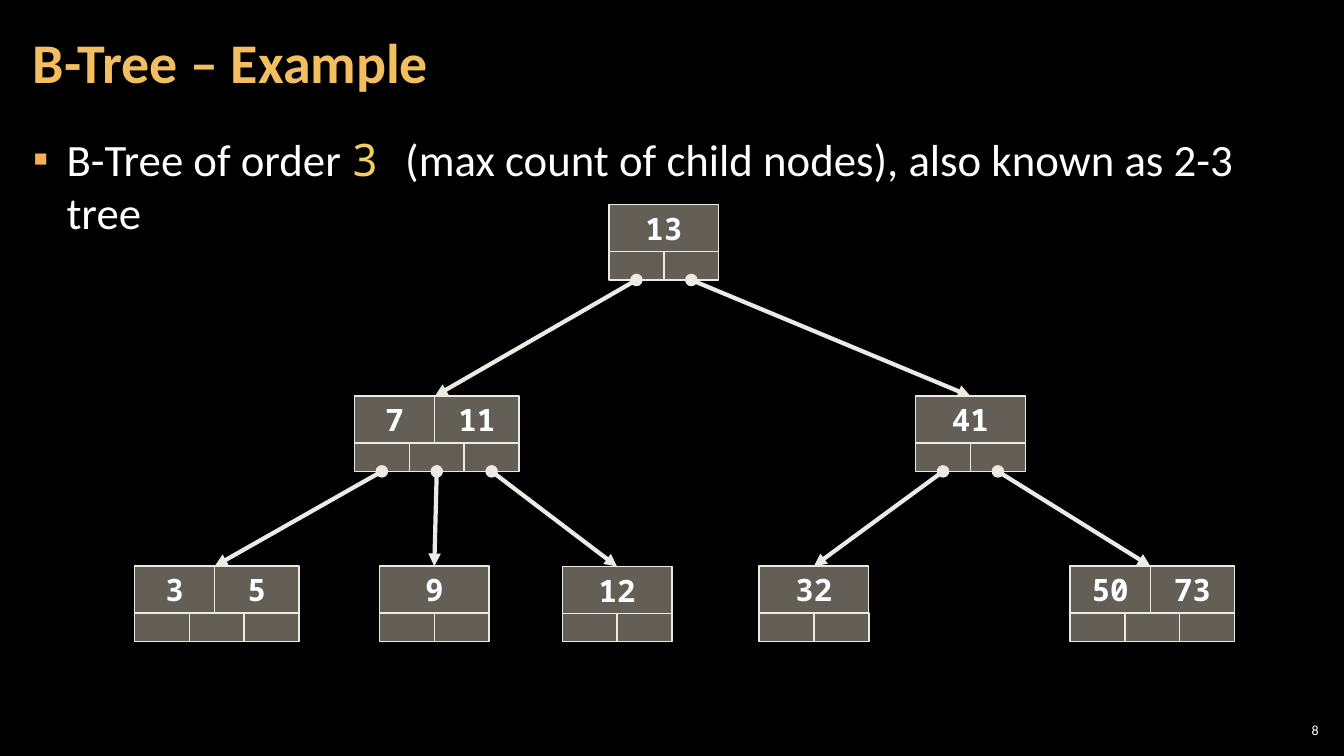
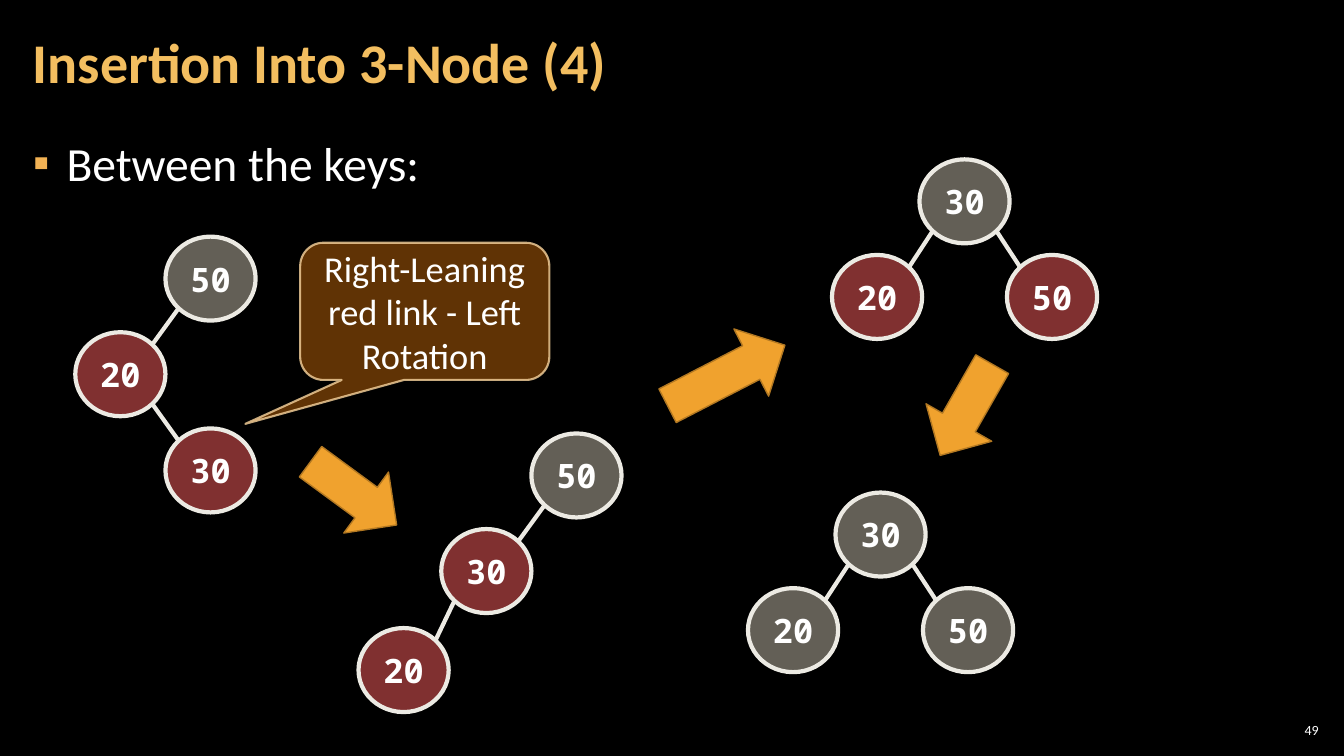
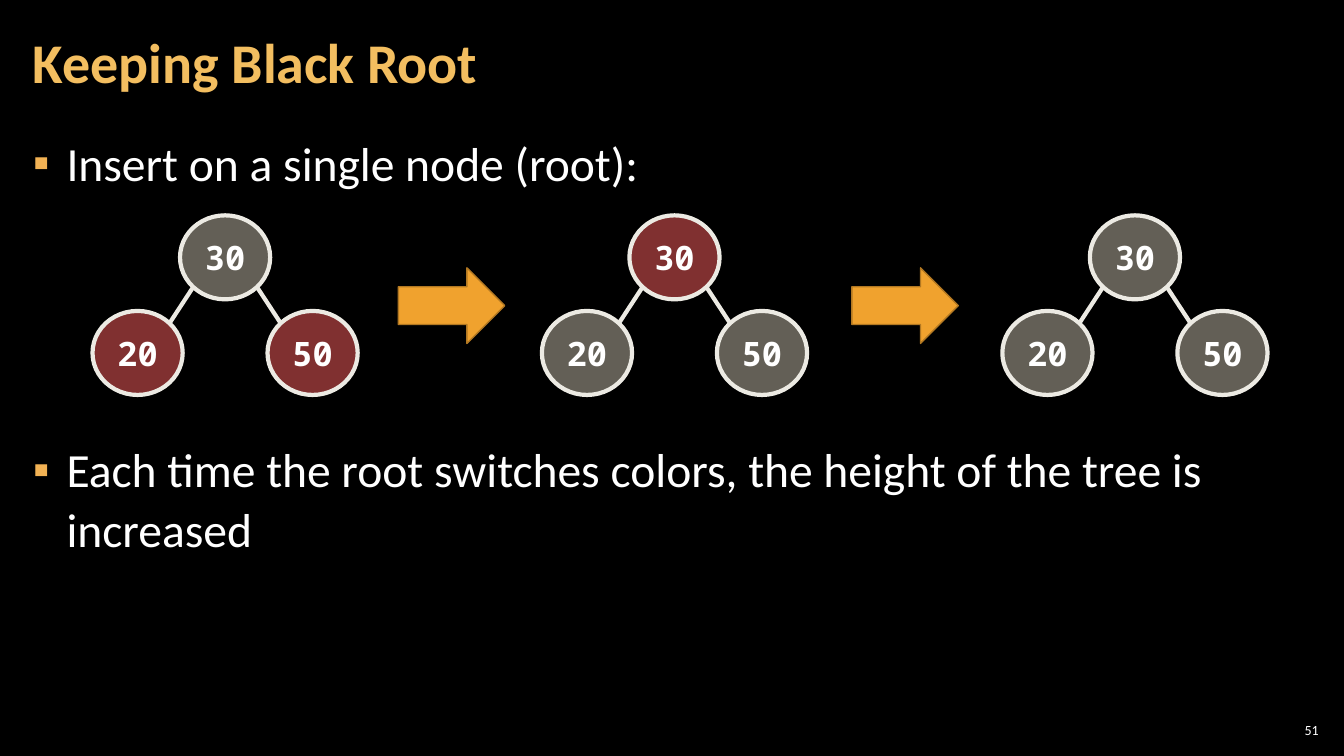
from pptx import Presentation
from pptx.dml.color import RGBColor
from pptx.enum.shapes import MSO_CONNECTOR, MSO_SHAPE
from pptx.enum.text import MSO_ANCHOR, MSO_AUTO_SIZE, PP_ALIGN
from pptx.oxml.ns import qn
from pptx.util import Pt
from lxml import etree

RECT, OVAL = MSO_SHAPE.RECTANGLE, MSO_SHAPE.OVAL
ARROW, BUBBLE = MSO_SHAPE.RIGHT_ARROW, MSO_SHAPE.ROUNDED_RECTANGULAR_CALLOUT
LINE = MSO_CONNECTOR.STRAIGHT
MIDDLE, TOP = MSO_ANCHOR.MIDDLE, MSO_ANCHOR.TOP
LEFT, RIGHT, CENTER = PP_ALIGN.LEFT, PP_ALIGN.RIGHT, PP_ALIGN.CENTER
NO_FIT = MSO_AUTO_SIZE.NONE

SANS, MONO = "Calibri", "Noto Sans Mono"
BLACK, WHITE, PALE = "000000", "FFFFFF", "ECEAE3"
GOLD, YELLOW, BULLET = "F3BE60", "F3CD60", "F2B254"
GRAY, RED = "C7BFAC", "FF6161"
TONES = {"g": GRAY, "r": RED}


def paint(fill, color, alpha=100):
    fill.solid()
    fill.fore_color.rgb = RGBColor.from_string(color)
    if alpha < 100:
        tint = fill._xPr.find(".//" + qn("a:srgbClr"))
        etree.SubElement(tint, qn("a:alpha"), val=str(alpha * 1000))


def write(para, text, size, color=WHITE, font=SANS, bold=False, align=LEFT):
    para.alignment = align
    run = para.add_run()
    run.text = text
    run.font.size = Pt(size)
    run.font.name = font
    run.font.bold = bold
    paint(run.font.fill, color)


deck = Presentation()
deck.slide_width, deck.slide_height = Pt(960), Pt(540)
paint(deck.slide_master.background.fill, BLACK)

pages = [
    ("B-Tree – Example", "8", 32, 1, [
        (6, [("B-Tree of order ", WHITE, SANS), ("3 ", YELLOW, MONO),
             ("(max count of child nodes), also known as 2-3 tree", WHITE, SANS)])]),
    ("Insertion Into 3-Node (4)", "49", 34, 1.05, [
        (6, [("Between the keys:", WHITE, SANS)])]),
    ("Keeping Black Root", "51", 34, 1.05, [
        (6, [("Insert on a single node (root):", WHITE, SANS)]),
        (170, [("Each time the root switches colors, the height of the tree is increased",
                WHITE, SANS)])]),
]

for title, number, size, pitch, items in pages:
    slide = deck.slides.add_slide(deck.slide_layouts[1])
    head, body = slide.placeholders
    note = slide.shapes.add_textbox(0, 0, 0, 0)
    for box, x, y, w, h, side, anchor in [
            (head, 15, 3, 754, 87, 8.5, MIDDLE),
            (body, 15, 90.7, 930, 438.5, 8.5, TOP),
            (note, 911, 514, 34, 15, 3, MIDDLE)]:
        box.left, box.top, box.width, box.height = Pt(x), Pt(y), Pt(w), Pt(h)
        frame = box.text_frame
        frame.word_wrap = True
        frame.auto_size = NO_FIT
        frame.vertical_anchor = anchor
        frame.margin_left = frame.margin_right = Pt(side)
        frame.margin_top = frame.margin_bottom = Pt(3)
    para = head.text_frame.paragraphs[0]
    para.line_spacing = 0.9
    write(para, title, 40, color=GOLD, bold=True)
    write(note.text_frame.paragraphs[0], number, 10, align=RIGHT)
    for index, (before, runs) in enumerate(items):
        frame = body.text_frame
        para = frame.add_paragraph() if index else frame.paragraphs[0]
        para.line_spacing = pitch
        para.space_before, para.space_after = Pt(before), Pt(6)
        for text, color, font in runs:
            write(para, text, size, color=color, font=font)
        props = para._p.get_or_add_pPr()
        props.set("marL", str(Pt(24)))
        props.set("indent", str(-Pt(24)))
        mark = etree.SubElement(props, qn("a:buClr"))
        etree.SubElement(mark, qn("a:srgbClr"), val=BULLET)
        etree.SubElement(props, qn("a:buChar"), char="▪")

drawn = []
wires = []

KEY_H, SLOT_W, SLOT_H, SEAM = 33.5, 39.2, 20.2, 57.4
nodes = [
    (["13"], 435, 146.3, None, None),
    (["7", "11"], 253.2, 283, 0, 0),
    (["41"], 654, 283, 0, 1),
    (["3", "5"], 96, 404.4, 1, 0),
    (["9"], 271, 404.4, 1, 1),
    (["12"], 401.6, 404.7, 1, 2),
    (["32"], 542.2, 404.4, 2, 0),
    (["50", "73"], 764.3, 404.4, 2, 1),
]
shapes = deck.slides[0].shapes
slots = []
for keys, x, y, parent, slot in nodes:
    count = len(keys) + 1
    full = count * SLOT_W
    cells = [(0, full)] if len(keys) == 1 else [(0, SEAM), (SEAM, full - SEAM)]
    for key, (shift, w) in zip(keys, cells):
        cell = shapes.add_shape(RECT, Pt(x + shift), Pt(y), Pt(w), Pt(KEY_H))
        write(cell.text_frame.paragraphs[0], key, 22, font=MONO, bold=True, align=CENTER)
        drawn.append((cell, GRAY, 50, PALE, 100, 1))
    row = []
    for index in range(count):
        part = shapes.add_shape(RECT, Pt(x + index * SLOT_W), Pt(y + KEY_H),
                                Pt(SLOT_W), Pt(SLOT_H))
        row.append(part)
        drawn.append((part, GRAY, 50, PALE, 100, 1))
    slots.append(row)
    if parent is not None:
        wire = shapes.add_connector(LINE, 0, 0, Pt(x + SEAM), Pt(y))
        wire.begin_connect(slots[parent][slot], 2)
        if len(keys) == 1:
            wire.end_connect(cell, 0)
        wires.append((wire, True))

NODE_W, NODE_H = 64.4, 60
RIM = 0.354
fan = [("30", 0, 0, 0), ("20", -62.5, 68.3, 0), ("50", 62.5, 68.3, 0)]
bend = [("50", 0, 0, 0), ("20", -64.4, 68.3, 0), ("30", 0, 137, 1)]
lean = [("50", 0, 0, 0), ("30", -64.4, 68.3, 0), ("20", -123.5, 139, 1)]
trees = [
    (1, bend, 118.2, 169, "grr"),
    (1, lean, 379.6, 309.6, "grr"),
    (1, fan, 656.8, 113.8, "grr"),
    (1, fan, 596.8, 351.8, "ggg"),
    (2, fan, 128.6, 153.8, "grr"),
    (2, fan, 449.6, 153.8, "rgg"),
    (2, fan, 778.5, 153.8, "ggg"),
]
for page, form, x, y, tones in trees:
    shapes = deck.slides[page].shapes
    for index, (key, dx, dy, parent) in enumerate(form):
        ball = shapes.add_shape(OVAL, Pt(x + dx), Pt(y + dy), Pt(NODE_W), Pt(NODE_H))
        ball.text_frame.word_wrap = False
        write(ball.text_frame.paragraphs[0], key, 24, font=MONO, bold=True, align=CENTER)
        drawn.append((ball, TONES[tones[index]], 50, PALE, 100, 3))
        if index:
            px, py = form[parent][1:3]
            side = 1 if dx > px else -1
            midx, midy = x + NODE_W / 2, y + NODE_H / 2
            reach, drop = side * RIM * NODE_W, RIM * NODE_H
            wire = shapes.add_connector(
                LINE, Pt(midx + px + reach), Pt(midy + py + drop),
                Pt(midx + dx - reach), Pt(midy + dy - drop))
            wires.append((wire, False))

for page, x, y, w, angle in [
        (1, 214.4, 325.4, 76.3, 36.3),
        (1, 471.6, 241.2, 94.3, 332.7),
        (1, 652.6, 265.7, 75, 119.7),
        (2, 284.5, 191.3, 76, 0),
        (2, 608.5, 191.3, 76, 0)]:
    arrow = deck.slides[page].shapes.add_shape(ARROW, Pt(x), Pt(y), Pt(w), Pt(54))
    arrow.rotation = angle
    drawn.append((arrow, "F0A22E", 100, "B27822", 100, 1))

bubble = deck.slides[1].shapes.add_shape(BUBBLE, Pt(214.4), Pt(173.4), Pt(178), Pt(98))
for index, value in enumerate([-0.72, 0.82, 0.17]):
    bubble.adjustments[index] = value
bubble.text_frame.word_wrap = True
write(bubble.text_frame.paragraphs[0], "Right-Leaning red link - Left Rotation", 26,
      align=CENTER)
drawn.append((bubble, "663606", 95, "F8D49E", 80, 1.5))

for shape, color, alpha, edge, veil, width in drawn:
    shape.shadow.inherit = False
    shape.text_frame.vertical_anchor = MIDDLE
    paint(shape.fill, color, alpha)
    paint(shape.line.fill, edge, veil)
    shape.line.width = Pt(width)

for wire, tipped in wires:
    paint(wire.line.fill, PALE)
    wire.line.width = Pt(3)
    props = wire._element.spPr
    if tipped:
        stroke = props.find(qn("a:ln"))
        etree.SubElement(stroke, qn("a:headEnd"), type="oval")
        etree.SubElement(stroke, qn("a:tailEnd"), type="triangle")
    etree.SubElement(props, qn("a:effectLst"))

deck.save("out.pptx")
